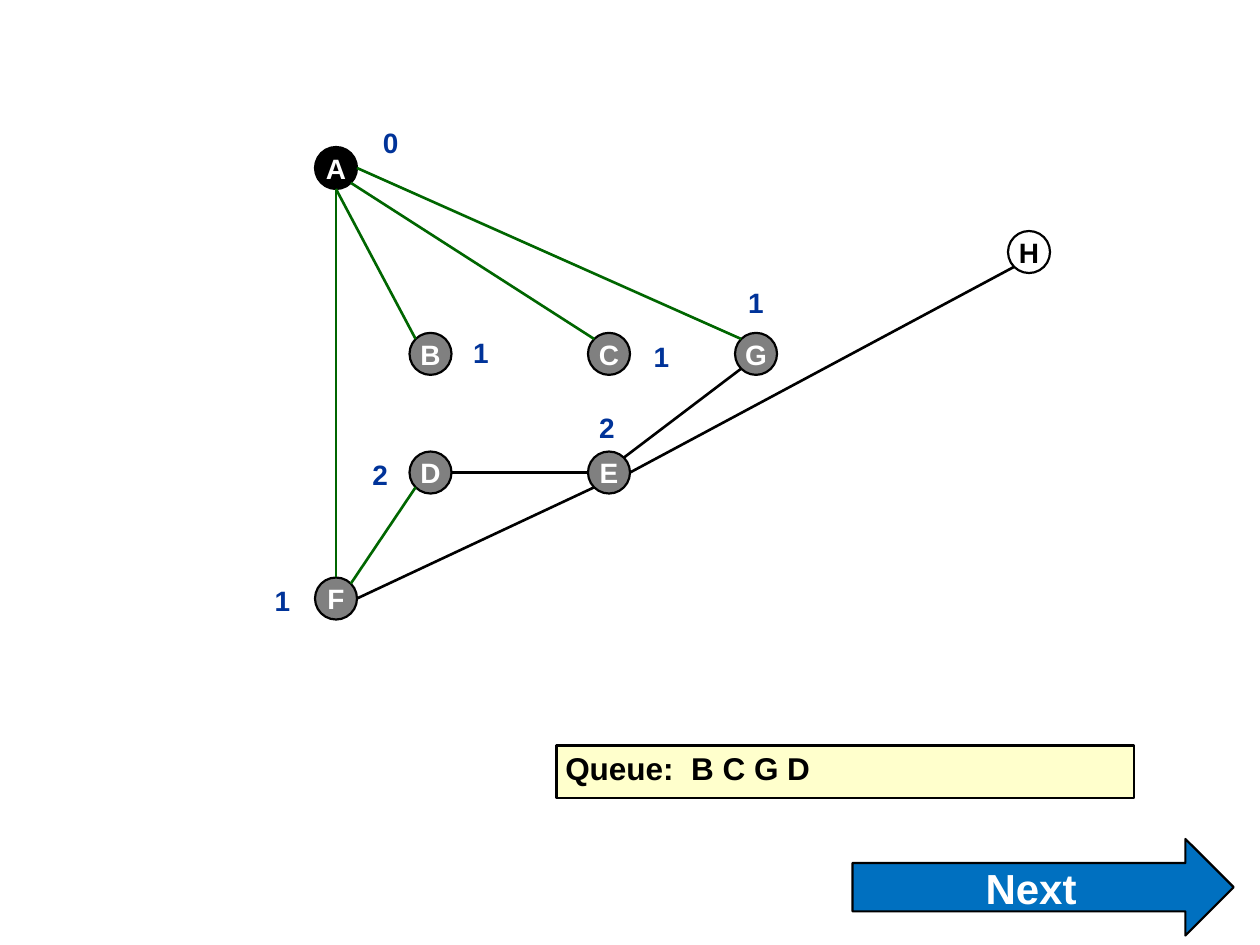
from math import sqrt

from pptx import Presentation
from pptx.dml.color import RGBColor
from pptx.enum.shapes import MSO_CONNECTOR as Connector, MSO_SHAPE as Shape
from pptx.enum.text import MSO_ANCHOR as Anchor, PP_ALIGN as Align
from pptx.oxml.ns import qn
from pptx.util import Inches, Pt
from lxml.etree import SubElement

BLACK = RGBColor(0x00, 0x00, 0x00)
WHITE = RGBColor(0xFF, 0xFF, 0xFF)
GRAY = RGBColor(0x80, 0x80, 0x80)
GREEN = RGBColor(0x00, 0x66, 0x00)
NAVY = RGBColor(0x00, 0x33, 0x99)
BLUE = RGBColor(0x00, 0x70, 0xC0)
CREAM = RGBColor(0xFF, 0xFF, 0xCC)

COLUMNS, ROWS = 120, 90
NODE_SIZE = 4
DIAGONAL = 1 / sqrt(2)
DIRECTIONS = {
    "top": (0, -1), "bottom": (0, 1), "left": (-1, 0), "right": (1, 0),
    "top left": (-DIAGONAL, -DIAGONAL), "top right": (DIAGONAL, -DIAGONAL),
    "bottom left": (-DIAGONAL, DIAGONAL), "bottom right": (DIAGONAL, DIAGONAL),
}

NODES = {
    "A": (30, 14, BLACK, WHITE),
    "B": (39, 31.7, GRAY, WHITE),
    "C": (56, 31.7, GRAY, WHITE),
    "G": (70, 31.7, GRAY, WHITE),
    "D": (39, 43, GRAY, WHITE),
    "E": (56, 43, GRAY, WHITE),
    "F": (30, 55, GRAY, WHITE),
    "H": (96, 22, WHITE, BLACK),
}
EDGES = [
    ("A", "bottom", "F", "top", GREEN),
    ("A", "bottom", "B", "top left", GREEN),
    ("A", "bottom right", "C", "top left", GREEN),
    ("A", "right", "G", "top left", GREEN),
    ("F", "top right", "D", "bottom left", GREEN),
    ("D", "right", "E", "left", BLACK),
    ("F", "right", "E", "bottom left", BLACK),
    ("E", "top right", "G", "bottom left", BLACK),
    ("E", "right", "H", "bottom left", BLACK),
]
DISTANCES = [
    ("0", 35.3, 12), ("1", 25, 55.6), ("1", 43.9, 32), ("1", 61.1, 32.3),
    ("1", 70.1, 27.2), ("2", 34.3, 43.6), ("2", 55.9, 39.1),
]


class GraphSlide:
    font_name = "Arial"
    outline = Pt(1.25)
    edge_width = Pt(1.5)

    def __init__(self, presentation):
        self.column = presentation.slide_width / COLUMNS
        self.row = presentation.slide_height / ROWS
        self.slide = presentation.slides.add_slide(presentation.slide_layouts[6])

    def place(self, column, row):
        return round(column * self.column), round(row * self.row)

    def label(self, shape, text, size, color, align=Align.CENTER,
              anchor=Anchor.MIDDLE, margins=(0, 0, 0, 0), wrap=False):
        frame = shape.text_frame
        frame.text = text
        frame.word_wrap = wrap
        frame.vertical_anchor = anchor
        (frame.margin_left, frame.margin_top,
         frame.margin_right, frame.margin_bottom) = map(Inches, margins)
        paragraph = frame.paragraphs[0]
        paragraph.alignment = align
        font = paragraph.runs[0].font
        font.name, font.size, font.bold = self.font_name, Pt(size), True
        font.color.rgb = color

    def outlined(self, kind, column, row, width, height, fill):
        shape = self.slide.shapes.add_shape(
            kind, *self.place(column, row), *self.place(width, height))
        shape.shadow.inherit = False
        shape.fill.solid()
        shape.fill.fore_color.rgb = fill
        shape.line.color.rgb = BLACK
        shape.line.width = self.outline
        return shape

    def node(self, name, column, row, fill, color):
        shape = self.outlined(Shape.OVAL, column, row, NODE_SIZE, NODE_SIZE, fill)
        self.label(shape, name, 16, color, margins=(0.1, 0.05, 0.1, 0.05))

    def rim(self, name, side):
        column, row = NODES[name][:2]
        across, down = DIRECTIONS[side]
        radius = NODE_SIZE / 2
        return self.place(column + radius * (1 + across), row + radius * (1 + down))

    def edge(self, start, start_side, end, end_side, color):
        line = self.slide.shapes.add_connector(
            Connector.STRAIGHT, *self.rim(start, start_side), *self.rim(end, end_side))
        line.line.color.rgb = color
        line.line.width = self.edge_width
        SubElement(line._element.spPr, qn("a:effectLst"))

    def distance(self, text, column, row):
        box = self.slide.shapes.add_textbox(
            *self.place(column, row), *self.place(3.8, 3.2))
        self.label(box, text, 16, NAVY, anchor=Anchor.TOP, wrap=True)

    def queue(self, text, column, row, width, height):
        shape = self.outlined(Shape.RECTANGLE, column, row, width, height, CREAM)
        self.label(shape, text, 18, BLACK, Align.LEFT, Anchor.TOP,
                   margins=(0.07, 0.03, 0, 0), wrap=True)

    def next_arrow(self, text, column, row, width, height):
        shape = self.outlined(Shape.RIGHT_ARROW, column, row, width, height, BLUE)
        self.label(shape, text, 24, WHITE, margins=(0.1, 0.05, 0.1, 0.05))


def main():
    presentation = Presentation()
    presentation.slide_width, presentation.slide_height = Inches(10), Inches(7.5)
    graph = GraphSlide(presentation)
    for name, details in NODES.items():
        graph.node(name, *details)
    for edge in EDGES:
        graph.edge(*edge)
    for distance in DISTANCES:
        graph.distance(*distance)
    graph.queue("Queue:  B C G D", 53, 71, 55, 5)
    graph.next_arrow("Next", 81.2, 79.9, 36.3, 9.2)
    presentation.save("out.pptx")


if __name__ == "__main__":
    main()
